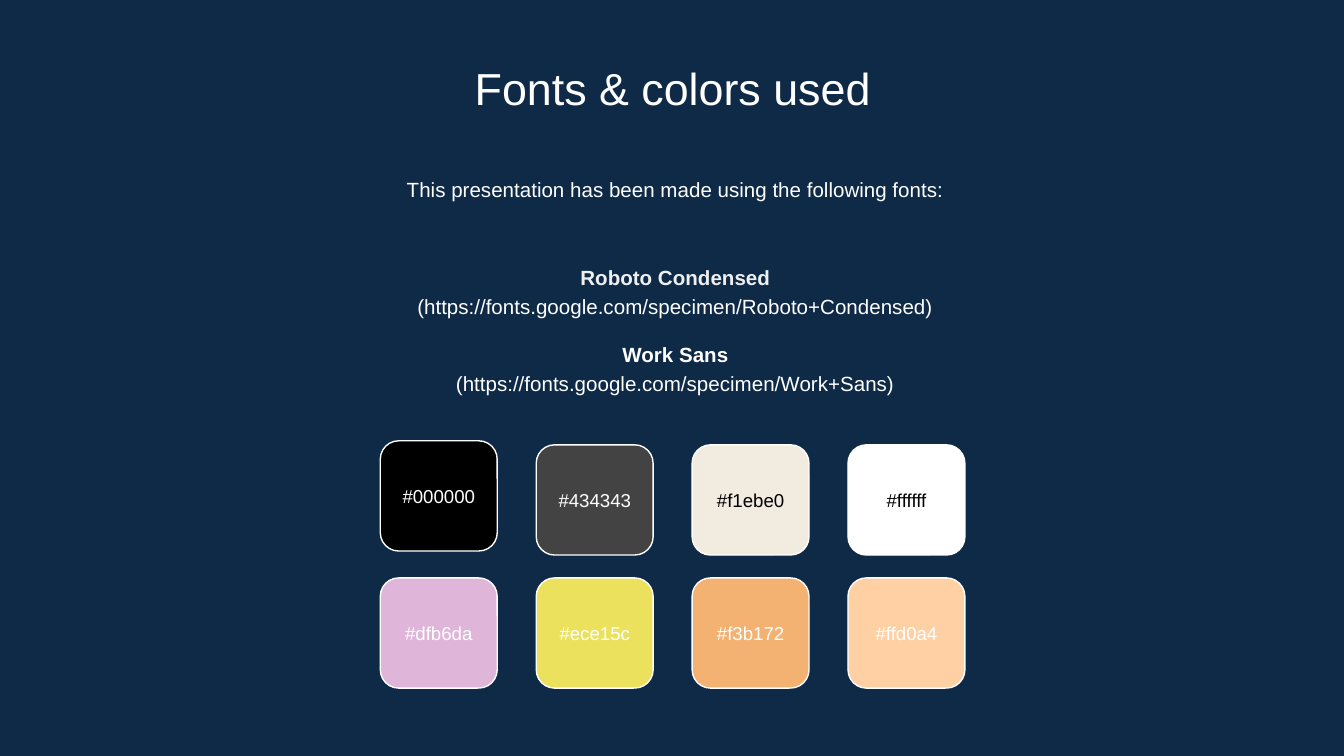
from pptx import Presentation
from pptx.dml.color import RGBColor
from pptx.enum.shapes import MSO_SHAPE
from pptx.enum.text import MSO_ANCHOR, PP_ALIGN
from pptx.util import Inches, Pt

ROUNDED = MSO_SHAPE.ROUNDED_RECTANGLE
CENTER = PP_ALIGN.CENTER
TOP, MIDDLE = MSO_ANCHOR.TOP, MSO_ANCHOR.MIDDLE

NAVY = RGBColor(0x0E, 0x2A, 0x47)
WHITE = RGBColor(0xFF, 0xFF, 0xFF)
BLACK = RGBColor(0x00, 0x00, 0x00)
LIGHT_GRAY = RGBColor(0xEF, 0xEF, 0xEF)

FONT = "Arial"
SWATCH_W, SWATCH_H = 0.87, 0.82
LABEL_H = 0.48
GRID_LEFT, COLUMN_STEP = 2.83, 1.16

# Each row: (hex code, label colour, top of the swatch)
SWATCH_ROWS = [
    [("#000000", WHITE, 3.28), ("#434343", WHITE, 3.31),
     ("#f1ebe0", BLACK, 3.31), ("#ffffff", BLACK, 3.31)],
    [(code, WHITE, 4.3) for code in ("#dfb6da", "#ece15c", "#f3b172", "#ffd0a4")],
]


class SlideBuilder:
    def __init__(self, slide):
        self.slide = slide
        fill = slide.background.fill
        fill.solid()
        fill.fore_color.rgb = NAVY

    def text(self, left, top, width, height, lines, size, anchor=TOP, spacing=1.0):
        """Add centred text; each line is (text, colour, bold, points before)."""
        box = self.slide.shapes.add_textbox(
            Inches(left), Inches(top), Inches(width), Inches(height))
        tf = box.text_frame
        tf.word_wrap = True
        tf.vertical_anchor = anchor
        tf.margin_left = tf.margin_right = Inches(0.1)
        tf.margin_top = tf.margin_bottom = Inches(0.1)
        for i, (text, color, bold, before) in enumerate(lines):
            p = tf.add_paragraph() if i else tf.paragraphs[0]
            p.text = text
            p.alignment = CENTER
            p.line_spacing = spacing
            if before:
                p.space_before = Pt(before)
            font = p.runs[0].font
            font.name, font.size, font.bold = FONT, Pt(size), bold
            font.color.rgb = color

    def swatch(self, left, top, code, label_color):
        sp = self.slide.shapes.add_shape(
            ROUNDED, Inches(left), Inches(top), Inches(SWATCH_W), Inches(SWATCH_H))
        sp.shadow.inherit = False
        sp.fill.solid()
        sp.fill.fore_color.rgb = RGBColor.from_string(code[1:].upper())
        sp.line.color.rgb = WHITE
        sp.line.width = Pt(0.75)
        self.text(left, top + (SWATCH_H - LABEL_H) / 2, SWATCH_W, LABEL_H,
                  [(code, label_color, False, 0)], 10, MIDDLE)


def main():
    prs = Presentation()
    prs.slide_width = Inches(10)
    prs.slide_height = Inches(10 * 9 / 16)
    s = SlideBuilder(prs.slides.add_slide(prs.slide_layouts[6]))

    s.text(1.15, 0.35, 7.71, 0.53, [("Fonts & colors used", WHITE, False, 0)], 24)
    s.text(1.17, 1.19, 7.71, 0.48,
           [("This presentation has been made using the following fonts:",
             WHITE, False, 0)], 11, spacing=1.15)
    s.text(1.17, 1.76, 7.71, 1.37, [
        ("Roboto Condensed", LIGHT_GRAY, True, 0),
        ("(https://fonts.google.com/specimen/Roboto+Condensed)", WHITE, False, 0),
        ("Work Sans", WHITE, True, 11),
        ("(https://fonts.google.com/specimen/Work+Sans)", WHITE, False, 0),
    ], 11, MIDDLE, spacing=1.15)

    for row in SWATCH_ROWS:
        for column, (code, label_color, top) in enumerate(row):
            s.swatch(GRID_LEFT + column * COLUMN_STEP, top, code, label_color)

    prs.save("out.pptx")


if __name__ == "__main__":
    main()
